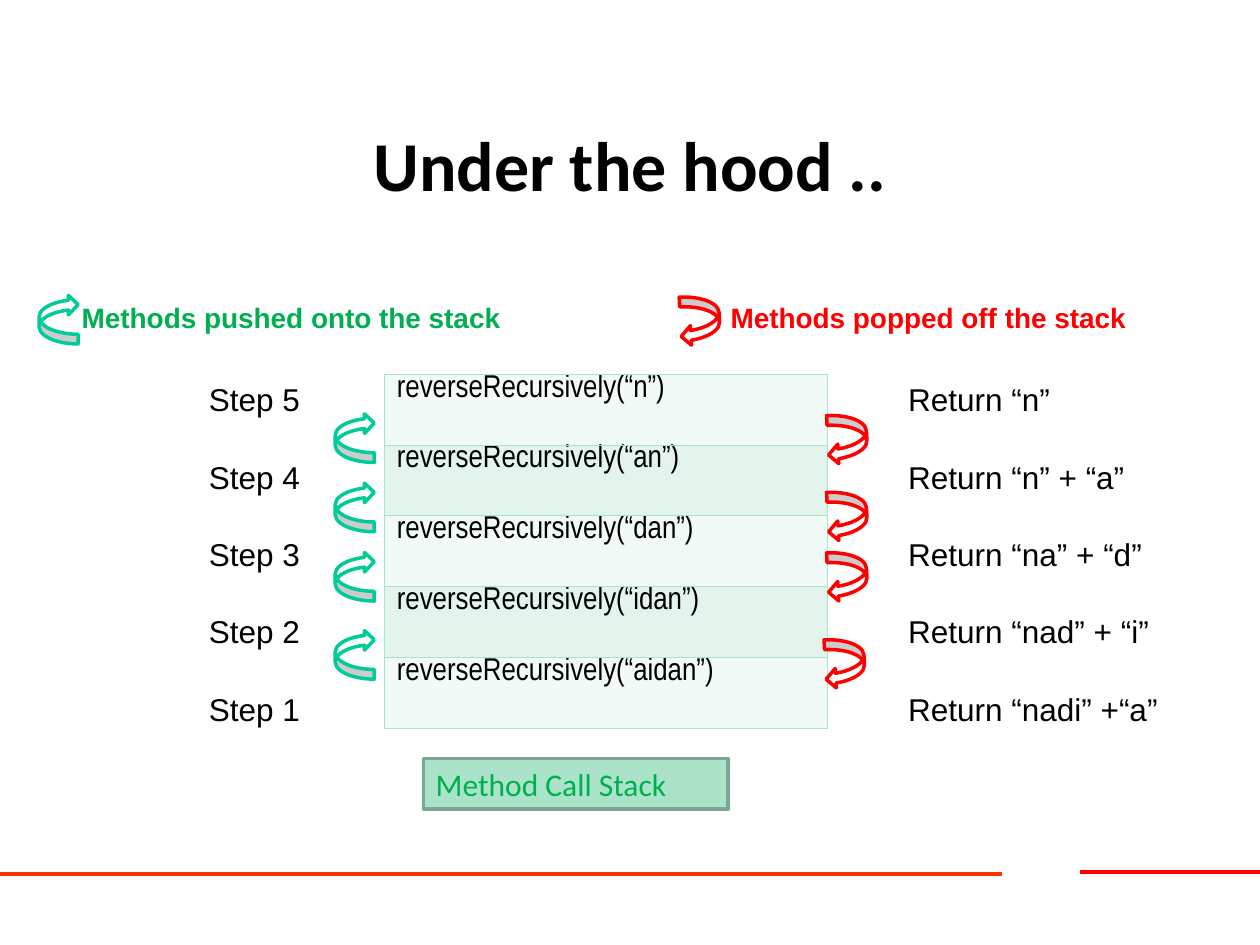
from lxml.etree import SubElement
from pptx import Presentation
from pptx.dml.color import RGBColor
from pptx.enum.shapes import MSO_CONNECTOR, MSO_SHAPE
from pptx.enum.text import MSO_ANCHOR, PP_ALIGN
from pptx.oxml.ns import qn
from pptx.util import Inches, Pt

THEME = {
    "black": "000000", "white": "FFFFFF", "red": "FF0000", "orange": "FF3300",
    "green": "00B050", "teal": "00CC99", "mint": "AAE2CA", "mint_edge": "7CA694",
    "bands": ("F1FAF6", "E2F4EC"),
    "title": {"name": "Calibri", "size": Pt(40), "bold": True},
    "legend": {"name": "Arial", "size": Pt(16), "bold": True},
    "side": {"name": "Arial", "size": Pt(18), "bold": False},
    "call": {"name": "Arial Narrow", "size": Pt(18), "bold": False},
    "caption": {"name": "Calibri", "size": Pt(18), "bold": False},
}

TITLE = "Under the hood .."
CAPTION = "Method Call Stack"
FRAMES = [
    ("Step 5", "n", "Return “n”"),
    ("Step 4", "an", "Return “n” + “a”"),
    ("Step 3", "dan", "Return “na” + “d”"),
    ("Step 2", "idan", "Return “nad” + “i”"),
    ("Step 1", "aidan", "Return “nadi” +“a”"),
]
LEGENDS = [
    (0.55, "Methods pushed onto the stack", "green"),
    (5.7, "Methods popped off the stack", "red"),
]
PUSH = {"rotation": 180, "color": "teal",
        "spots": [(0.31, 2.34), (2.66, 3.28), (2.66, 3.83), (2.66, 4.38), (2.66, 5)]}
POP = {"rotation": 357, "color": "red",
       "spots": [(5.4, 2.35), (6.57, 3.29), (6.57, 3.9), (6.57, 4.38), (6.55, 5.07)]}
FOOTER_RULES = [(8.57, 10, 6.92, "red"), (0, 7.95, 6.94, "orange")]

STACK_BOX = (3.05, 2.97, 3.52, 2.81)
STEP_GAP = Pt(22.6)


def rgb(color):
    return RGBColor.from_string(THEME.get(color, color))


def apply(target, values):
    for key, value in values.items():
        setattr(target, key, value)


def write(frame, lines, style, color="black", layout=None):
    frame.word_wrap = True
    for index, line in enumerate(lines):
        paragraph = frame.paragraphs[0] if index == 0 else frame.add_paragraph()
        apply(paragraph, {"alignment": PP_ALIGN.LEFT, **(layout or {})})
        run = paragraph.add_run()
        run.text = line
        apply(run.font, THEME[style])
        run.font.color.rgb = rgb(color)


def add_text(slide, box, *content, **options):
    frame = slide.shapes.add_textbox(*map(Inches, box)).text_frame
    write(frame, *content, **options)
    return frame


def add_figure(slide, preset, box, fill, edge):
    figure = slide.shapes.add_shape(preset, *map(Inches, box))
    figure.shadow.inherit = False
    figure.fill.solid()
    figure.fill.fore_color.rgb = rgb(fill)
    figure.line.color.rgb = rgb(edge)
    figure.line.width = Pt(2)
    return figure


def add_rule(slide, start, end, top, color):
    rule = slide.shapes.add_connector(
        MSO_CONNECTOR.STRAIGHT, *map(Inches, (start, top, end, top)))
    rule.line.color.rgb = rgb(color)
    rule.line.width = Pt(2.25)
    SubElement(rule._element.spPr, qn("a:effectLst"))


def fill_call(cell, call, band):
    apply(cell, {"margin_top": 0, "margin_bottom": 0})
    write(cell.text_frame, [call], "call")
    properties = cell._tc.get_or_add_tcPr()
    for side in ("lnL", "lnR", "lnT", "lnB"):
        border = SubElement(properties, qn(f"a:{side}"), w=str(Pt(0.45)))
        paint = SubElement(border, qn("a:solidFill"))
        SubElement(paint, qn("a:srgbClr"), val=THEME["mint"])
    cell.fill.solid()
    cell.fill.fore_color.rgb = rgb(band)


def add_stack(slide, calls):
    stack = slide.shapes.add_table(len(calls), 1, *map(Inches, STACK_BOX)).table
    apply(stack, {"first_row": False, "horz_banding": False})
    for index, call in enumerate(calls):
        fill_call(stack.cell(index, 0), call, THEME["bands"][index % 2])


def main():
    """Build the slide showing recursive calls pushed onto and popped off the stack."""
    deck = Presentation()
    apply(deck, {"slide_width": Inches(10), "slide_height": Inches(7.5)})
    slide = deck.slides.add_slide(deck.slide_layouts[6])

    for rule in FOOTER_RULES:
        add_rule(slide, *rule)
    heading = add_text(slide, (0.75, 0.67, 8.5, 1.25), [TITLE], "title",
                       layout={"alignment": PP_ALIGN.CENTER})
    heading.vertical_anchor = MSO_ANCHOR.MIDDLE

    steps, words, returns = zip(*FRAMES)
    add_stack(slide, [f"reverseRecursively(“{word}”)" for word in words])
    for left, width, lines in ((1.56, 1.33, steps), (7.11, 2.58, returns)):
        add_text(slide, (left, 2.97, width, 3.7), lines, "side",
                 layout={"space_after": STEP_GAP})

    caption = add_figure(slide, MSO_SHAPE.RECTANGLE, (3.36, 6.02, 2.42, 0.4),
                         "mint", "mint_edge")
    write(caption.text_frame, [CAPTION], "caption", "green")
    for left, legend, color in LEGENDS:
        add_text(slide, (left, 2.34, 3.83, 0.37), [legend], "legend", color)
    for move in (PUSH, POP):
        for spot in move["spots"]:
            arrow = add_figure(slide, MSO_SHAPE.CURVED_LEFT_ARROW,
                               (*spot, 0.31, 0.39), "white", move["color"])
            arrow.rotation = move["rotation"]

    deck.save("out.pptx")


if __name__ == "__main__":
    main()
